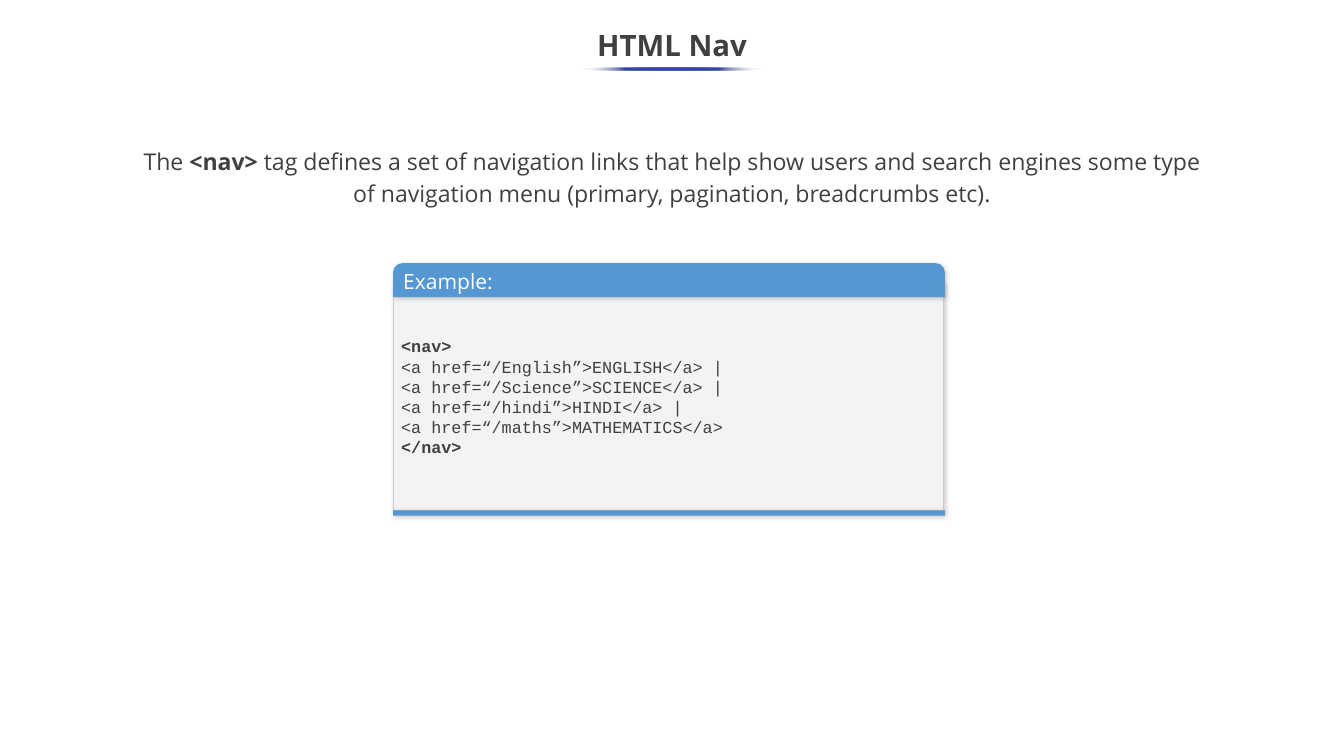
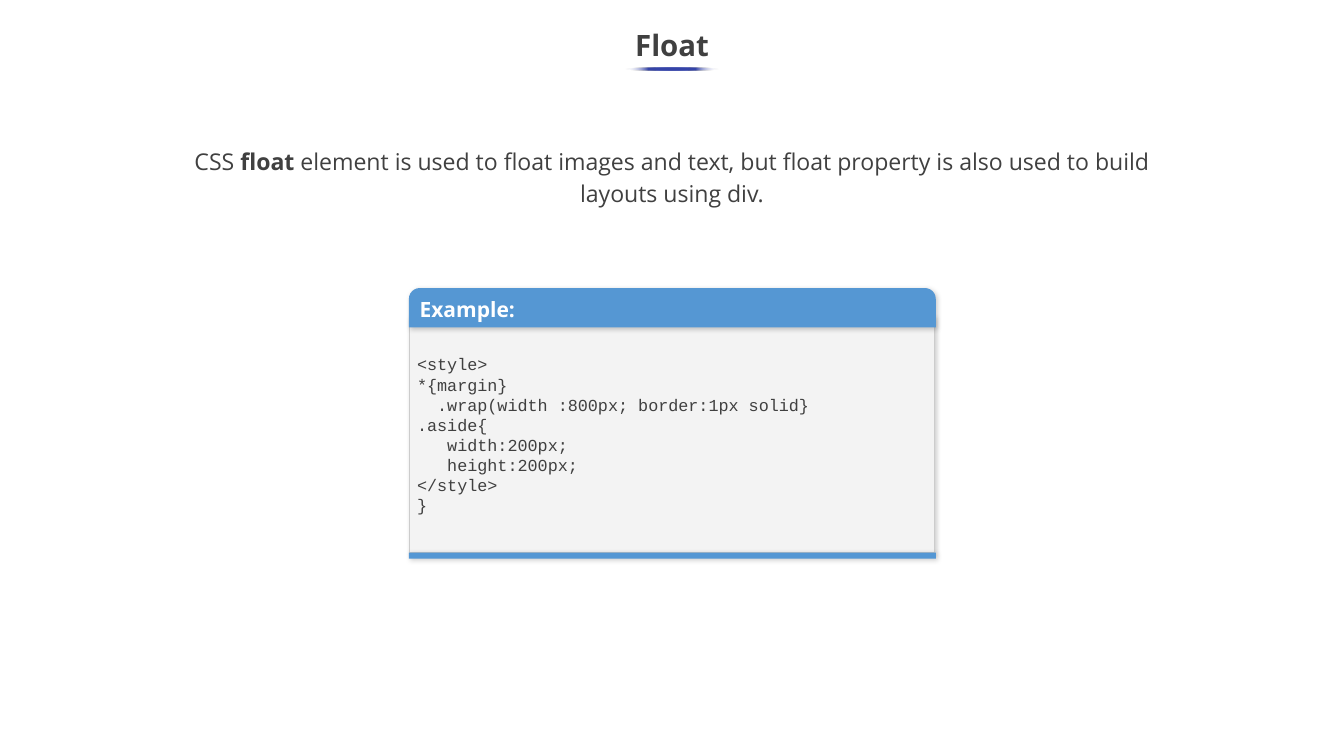
import dataclasses

import lxml.etree
import pptx
import pptx.dml.color
import pptx.enum.shapes
import pptx.enum.text
import pptx.oxml
import pptx.oxml.ns
import pptx.util

PX = 9144
SLIDE_WIDTH, SLIDE_HEIGHT = 1778, 1000
SHAPE = pptx.enum.shapes.MSO_SHAPE
ALIGN = pptx.enum.text.PP_ALIGN
ANCHOR = pptx.enum.text.MSO_ANCHOR


@dataclasses.dataclass(frozen=True)
class Theme:
    text: str = "404040"
    white: str = "FFFFFF"
    accent: str = "3645A9"
    panel_header: str = "5597D3"
    panel_footer: str = "5497D4"
    panel_body: str = "F3F3F3"
    panel_border: str = "CCCCCC"
    shadow: str = "000000"
    sans: str = "Open Sans"
    mono: str = "Courier New"
    title_size: int = 28
    description_size: int = 22
    header_size: int = 20
    code_size: int = 16


theme = Theme()

SHADOW_XML = (
    f'<a:outerShdw {pptx.oxml.ns.nsdecls("a")} blurRad="57150" dist="19050" '
    'dir="2820000" algn="tl" rotWithShape="0">'
    f'<a:srgbClr val="{theme.shadow}"><a:alpha val="20000"/></a:srgbClr></a:outerShdw>'
)
GRADIENT_STOPS = [
    (0, theme.white, 0),
    (25, theme.accent, 100),
    (50, theme.accent, 100),
    (75, theme.accent, 100),
    (100, theme.white, 0),
]

pages = [
    {
        "title": "HTML Nav",
        "underline_width": 248,
        "description_width": 1440,
        "description": [
            ("The ", False),
            ("<nav> ", True),
            ("tag defines a set of navigation links that help show users and search engines "
             "some type of navigation menu (primary, pagination, breadcrumbs etc).", False),
        ],
        "panel": (520, 730),
        "header": (348, 45),
        "header_bold": False,
        "body": (374, 301),
        "footer_height": 7,
        "code": [
            ("<nav>", True),
            ("<a href=“/English”>ENGLISH</a> |", False),
            ("<a href=“/Science”>SCIENCE</a> |", False),
            ("<a href=“/hindi”>HINDI</a> |", False),
            ("<a href=“/maths”>MATHEMATICS</a>", False),
            ("</nav>", True),
        ],
    },
    {
        "title": "Float",
        "underline_width": 122,
        "description_width": 1310,
        "description": [
            ("CSS ", False),
            ("float", True),
            (" element is used to float images and text, but float property is also used "
             "to build layouts using div.", False),
        ],
        "panel": (541, 697),
        "header": (381, 52),
        "header_bold": True,
        "body": (419, 312),
        "footer_height": 8,
        "code": [
            ("<style>", False),
            ("*{margin}", False),
            ("  .wrap(width :800px; border:1px solid}", False),
            (".aside{", False),
            ("   width:200px;", False),
            ("   height:200px;", False),
            ("</style>", False),
            ("}", False),
        ],
    },
]


def write_text(shape, paragraphs, font, size, color, align, anchor, spacing=1.0, inset=5):
    frame = shape.text_frame
    frame.word_wrap = True
    frame.vertical_anchor = anchor
    frame.margin_left = frame.margin_right = 10 * PX
    frame.margin_top = frame.margin_bottom = inset * PX
    for index, pieces in enumerate(paragraphs):
        paragraph = frame.add_paragraph() if index else frame.paragraphs[0]
        paragraph.alignment = align
        paragraph.line_spacing = spacing
        for text, bold in pieces:
            run = paragraph.add_run()
            run.text = text
            run.font.name = font
            run.font.size = pptx.util.Pt(size)
            run.font.bold = bold
            run.font.color.rgb = pptx.dml.color.RGBColor.from_string(color)


def add_panel_part(group, preset, left, top, width, height, color):
    shape = group.shapes.add_shape(preset, left * PX, top * PX, width * PX, height * PX)
    shape.fill.solid()
    shape.fill.fore_color.rgb = pptx.dml.color.RGBColor.from_string(color)
    shape.line.fill.background()
    shape.shadow.inherit = False
    effects = shape._element.spPr.find(pptx.oxml.ns.qn("a:effectLst"))
    effects.append(pptx.oxml.parse_xml(SHADOW_XML))
    return shape


presentation = pptx.Presentation()
presentation.slide_width = SLIDE_WIDTH * PX
presentation.slide_height = SLIDE_HEIGHT * PX

for page in pages:
    slide = presentation.slides.add_slide(presentation.slide_layouts[6])

    title = slide.shapes.add_textbox(0, 25 * PX, SLIDE_WIDTH * PX, 75 * PX)
    write_text(title, [[(page["title"], True)]], theme.sans, theme.title_size, theme.text,
               ALIGN.CENTER, ANCHOR.MIDDLE, 0.9)

    left, width = page["panel"]
    header_top, header_height = page["header"]
    body_top, body_height = page["body"]
    panel = slide.shapes.add_group_shape()

    body = add_panel_part(panel, SHAPE.RECTANGLE, left + 1, body_top, width - 3, body_height,
                          theme.panel_body)
    body.line.color.rgb = pptx.dml.color.RGBColor.from_string(theme.panel_border)
    body.line.width = pptx.util.Pt(0.75)
    write_text(body, [[line] for line in page["code"]], theme.mono, theme.code_size, theme.text,
               ALIGN.LEFT, ANCHOR.MIDDLE, inset=10)

    add_panel_part(panel, SHAPE.RECTANGLE, left, body_top + body_height, width,
                   page["footer_height"], theme.panel_footer)

    header = add_panel_part(panel, SHAPE.ROUND_2_SAME_RECTANGLE, left, header_top, width,
                            header_height, theme.panel_header)
    header.adjustments[0] = 0.275
    header.adjustments[1] = 0
    write_text(header, [[("Example:", page["header_bold"])]], theme.sans, theme.header_size,
               theme.white, ALIGN.LEFT, ANCHOR.MIDDLE, inset=10)

    underline_width = page["underline_width"]
    underline = slide.shapes.add_shape(
        SHAPE.OVAL, (SLIDE_WIDTH - underline_width) // 2 * PX, 89 * PX, underline_width * PX, 4 * PX)
    underline.shadow.inherit = False
    underline.line.fill.background()
    underline.fill.gradient()
    underline.fill.gradient_angle = 180
    stops = underline._element.spPr.find(".//" + pptx.oxml.ns.qn("a:gsLst"))
    for stop in list(stops):
        stops.remove(stop)
    for position, color, opacity in GRADIENT_STOPS:
        stop = lxml.etree.SubElement(stops, pptx.oxml.ns.qn("a:gs"), pos=str(position * 1000))
        tint = lxml.etree.SubElement(stop, pptx.oxml.ns.qn("a:srgbClr"), val=color)
        lxml.etree.SubElement(tint, pptx.oxml.ns.qn("a:alpha"), val=str(opacity * 1000))

    description_width = page["description_width"]
    description = slide.shapes.add_textbox(
        (SLIDE_WIDTH - description_width) // 2 * PX, 185 * PX, description_width * PX, 93 * PX)
    write_text(description, [page["description"]], theme.sans, theme.description_size, theme.text,
               ALIGN.CENTER, ANCHOR.TOP, 1.15)

presentation.save("out.pptx")
